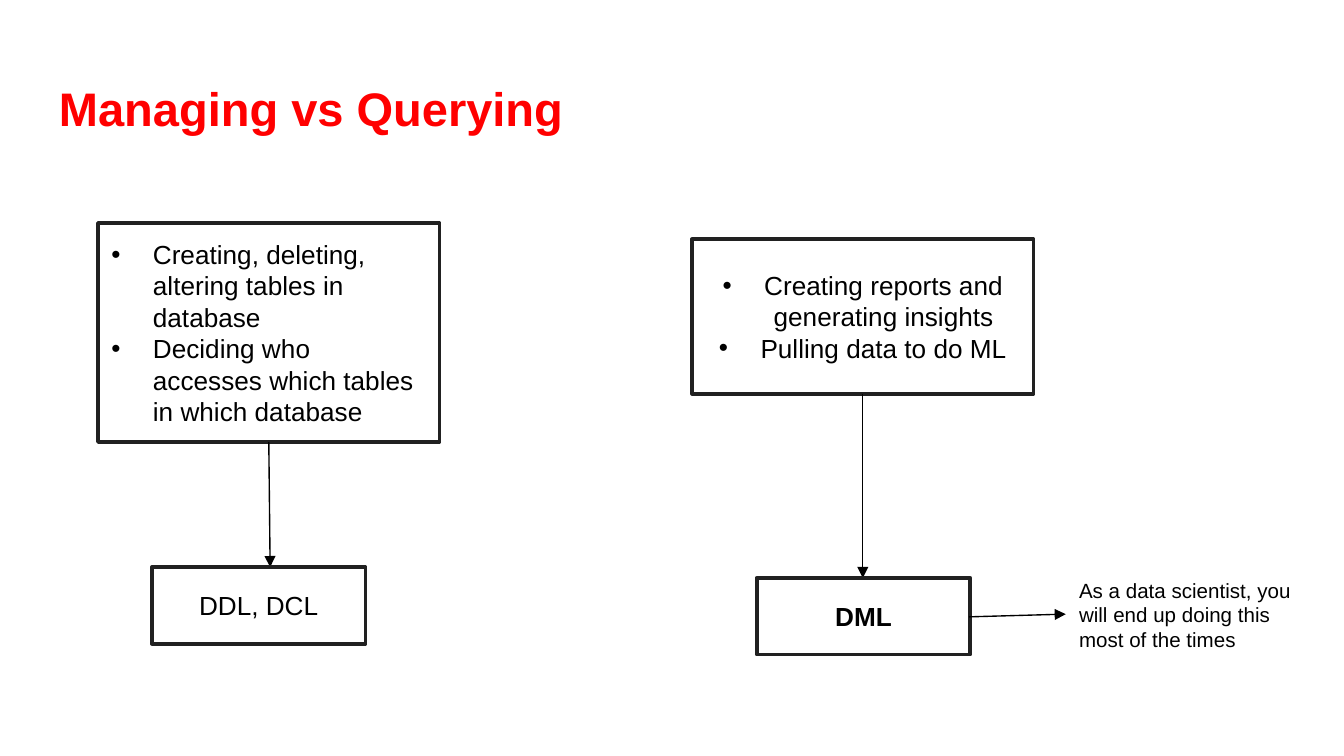
from pptx import Presentation
from pptx.dml.color import RGBColor
from pptx.enum.shapes import MSO_CONNECTOR, MSO_SHAPE
from pptx.enum.text import MSO_ANCHOR, PP_ALIGN
from pptx.oxml.ns import qn
from pptx.util import Inches, Pt
from lxml.etree import SubElement

RED = RGBColor(0xFF, 0x00, 0x00)
BLACK = RGBColor(0x00, 0x00, 0x00)
WHITE = RGBColor(0xFF, 0xFF, 0xFF)
BORDER = RGBColor(0x21, 0x21, 0x21)
FONT = "Arial"


def add_run(p, text, size, color=BLACK, bold=False):
    r = p.add_run()
    r.text = text
    r.font.name = FONT
    r.font.size = Pt(size)
    r.font.bold = bold
    r.font.color.rgb = color


def add_bullet(p):
    pPr = p._p.get_or_add_pPr()
    pPr.set("marL", str(Inches(0.31)))
    pPr.set("indent", str(Inches(-0.31)))
    color = SubElement(pPr, qn("a:buClr"))
    SubElement(color, qn("a:srgbClr"), val=str(BLACK))
    SubElement(pPr, qn("a:buFont"), typeface=FONT)
    SubElement(pPr, qn("a:buChar"), char="•")


def add_text(s, box, text, size, color=BLACK, bold=False, inset=0.05):
    sp = s.shapes.add_textbox(*map(Inches, box))
    tf = sp.text_frame
    tf.word_wrap = True
    tf.margin_top = tf.margin_bottom = Inches(inset)
    add_run(tf.paragraphs[0], text, size, color, bold)


def add_box(s, box, lines, align=PP_ALIGN.CENTER, bullets=False, bold=False):
    sp = s.shapes.add_shape(MSO_SHAPE.RECTANGLE, *map(Inches, box))
    sp.shadow.inherit = False
    sp.fill.solid()
    sp.fill.fore_color.rgb = WHITE
    sp.line.color.rgb = BORDER
    sp.line.width = Pt(2)
    tf = sp.text_frame
    tf.word_wrap = True
    tf.vertical_anchor = MSO_ANCHOR.MIDDLE
    for i, line in enumerate(lines):
        p = tf.add_paragraph() if i else tf.paragraphs[0]
        p.alignment = align
        if bullets:
            add_bullet(p)
        add_run(p, line, 14, bold=bold)


def add_arrow(s, start, end):
    points = map(Inches, (*start, *end))
    cxn = s.shapes.add_connector(MSO_CONNECTOR.STRAIGHT, *points)
    cxn.line.color.rgb = BLACK
    cxn.line.width = Pt(0.75)
    SubElement(cxn.line._get_or_add_ln(), qn("a:tailEnd"), type="triangle")
    SubElement(cxn._element.spPr, qn("a:effectLst"))


def main():
    prs = Presentation()
    prs.slide_width = Inches(10)
    prs.slide_height = Inches(10) * 9 // 16
    s = prs.slides.add_slide(prs.slide_layouts[6])

    add_text(s, (0.34, 0.49, 9.32, 0.63), "Managing vs Querying",
             25.2, RED, bold=True, inset=0.1)

    add_box(s, (0.73, 1.66, 2.54, 1.63),
            ["Creating, deleting, altering tables in database",
             "Deciding who accesses which tables in which database"],
            align=PP_ALIGN.LEFT, bullets=True)
    add_box(s, (5.15, 1.78, 2.54, 1.15),
            ["Creating reports and generating insights",
             "Pulling data to do ML"], bullets=True)

    add_arrow(s, (2, 3.29), (2.01, 4.22))
    add_arrow(s, (6.42, 2.93), (6.42, 4.3))

    add_box(s, (1.13, 4.22, 1.59, 0.57), ["DDL, DCL"])
    add_box(s, (5.63, 4.3, 1.59, 0.57), ["DML"], bold=True)

    add_arrow(s, (7.21, 4.59), (7.93, 4.57))
    add_text(s, (7.93, 4.25, 1.95, 0.66),
             "As a data scientist, you will end up doing this most of the times", 11)

    prs.save("out.pptx")


if __name__ == "__main__":
    main()
